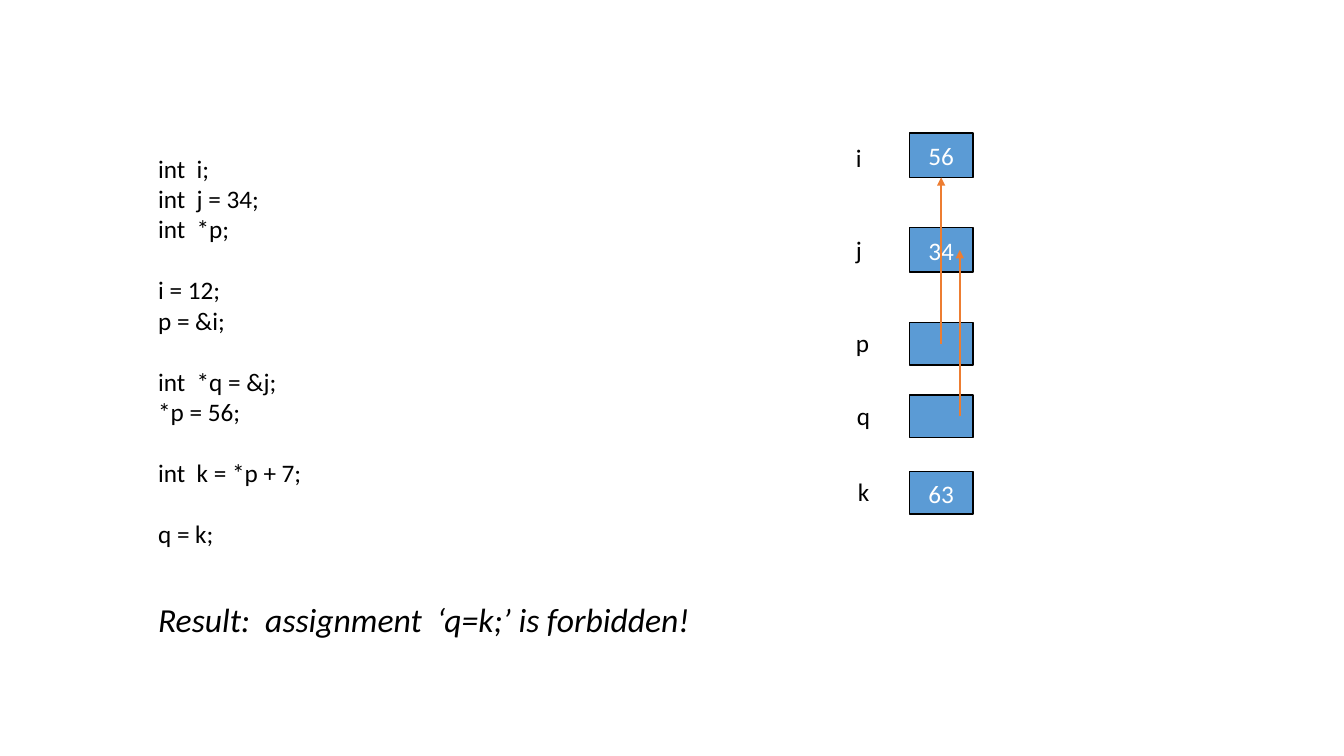
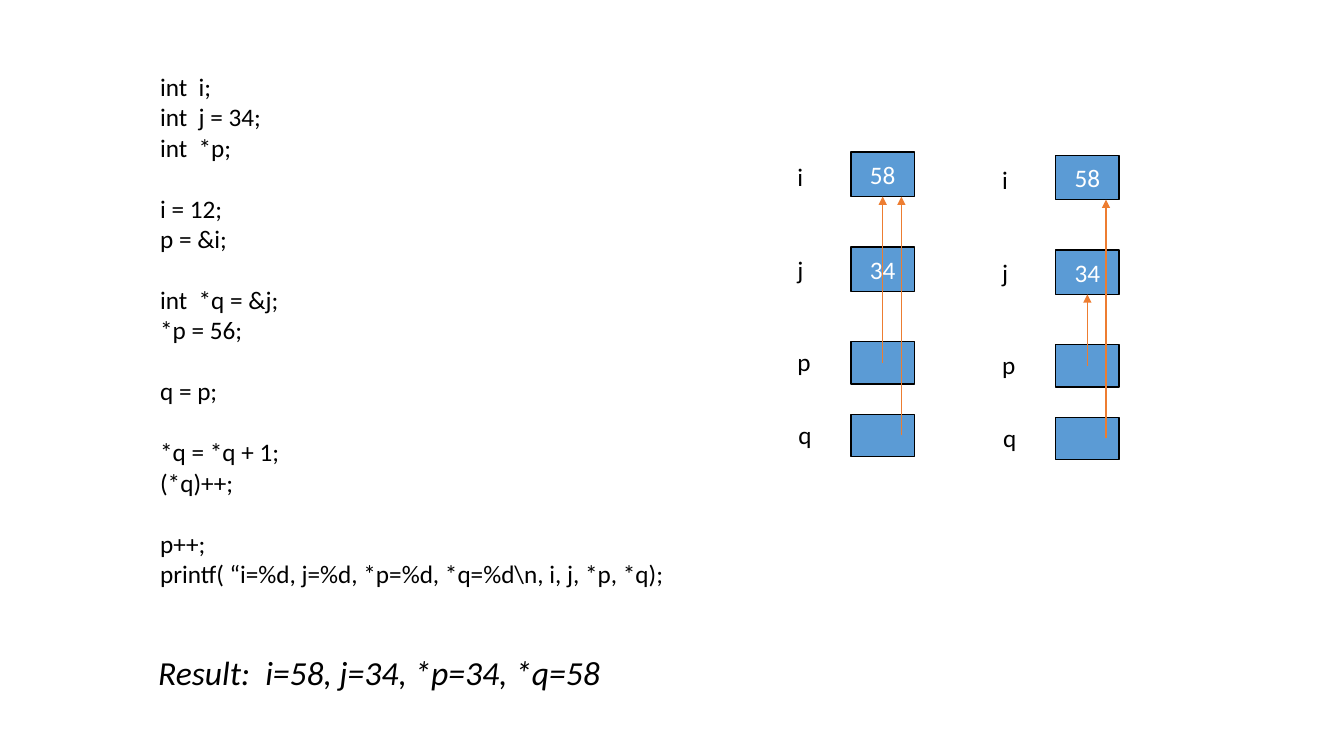
from dataclasses import dataclass

from pptx import Presentation
from pptx.dml.color import RGBColor
from pptx.enum.shapes import MSO_CONNECTOR, MSO_SHAPE
from pptx.enum.text import MSO_ANCHOR, MSO_AUTO_SIZE, PP_ALIGN
from pptx.oxml.ns import qn
from pptx.util import Inches, Pt
from lxml.etree import SubElement


@dataclass(frozen=True)
class Theme:
    ink: RGBColor = RGBColor(0x00, 0x00, 0x00)
    paper: RGBColor = RGBColor(0xFF, 0xFF, 0xFF)
    cell: RGBColor = RGBColor(0x5B, 0x9B, 0xD5)
    arrow: RGBColor = RGBColor(0xED, 0x7D, 0x31)
    font: str = "Calibri"
    body: Pt = Pt(18)
    result: Pt = Pt(24)
    block_gap: Pt = Pt(22)
    line: Pt = Pt(1)


THEME = Theme()

DECLARATIONS = [
    ["int  i;", "int  j = 34;", "int  *p;"],
    ["i = 12;", "p = &i;"],
    ["int  *q = &j;", "*p = 56;"],
]

PAGES = [
    {
        "code": DECLARATIONS + [["int  k = *p + 7;"], ["q = k;"]],
        "code_at": (1.47, 1.47, 5.56, 4.04),
        "result": "Result:  assignment  ‘q=k;’ is forbidden!",
        "result_at": (1.47, 5.89, 5.7, 0.5),
        "memories": [
            {"at": (9.02, 1.32),
             "values": {"i": "56", "j": "34", "p": "", "q": "", "k": "63"},
             "p_target": "i", "q_target": "j", "q_landing": "middle"},
        ],
    },
    {
        "code": DECLARATIONS + [
            ["q = p;"],
            ["*q = *q + 1;", "(*q)++;"],
            ["p++;", "printf( “i=%d, j=%d, *p=%d, *q=%d\\n, i, j, *p, *q);"],
        ],
        "code_at": (1.49, 0.66, 5.56, 5.25),
        "result": "Result:  i=58, j=34, *p=34, *q=58",
        "result_at": (1.47, 6.42, 9.72, 0.5),
        "memories": [
            {"at": (8.44, 1.51),
             "values": {"i": "58", "j": "34", "p": "", "q": ""},
             "p_target": "i", "q_target": "i", "q_landing": "bottom"},
            {"at": (10.47, 1.54),
             "values": {"i": "58", "j": "34", "p": "", "q": ""},
             "p_target": "j", "q_target": "i", "q_landing": "bottom"},
        ],
    },
]

CELL_WIDTH = 0.63
LABEL_SIZE = (0.35, 0.4)
Q_ARROW_OFFSET = 0.5
CELL_ROWS = {
    "i": {"top": 0, "height": 0.44, "label": (-0.63, 0.04)},
    "j": {"top": 0.94, "height": 0.44, "label": (-0.63, 0.02)},
    "p": {"top": 1.88, "height": 0.42, "label": (-0.63, 0)},
    "q": {"top": 2.6, "height": 0.42, "label": (-0.62, 0)},
    "k": {"top": 3.36, "height": 0.42, "label": (-0.61, 0)},
}


def set_all(target, formats):
    for name, value in formats.items():
        setattr(target, name, value)


def write(para, text, color, size=THEME.body, italic=None):
    span = para.add_run()
    span.text = text
    set_all(span.font, {"name": THEME.font, "size": size, "italic": italic})
    span.font.color.rgb = color


def add_text(shapes, at, blocks, **style):
    box = shapes.add_textbox(*map(Inches, at))
    frame = box.text_frame
    set_all(frame, {"word_wrap": True, "auto_size": MSO_AUTO_SIZE.SHAPE_TO_FIT_TEXT})
    para = frame.paragraphs[0]
    for block_index, block in enumerate(blocks):
        for line_index, text in enumerate(block):
            if block_index or line_index:
                para = frame.add_paragraph()
            if block_index and not line_index:
                para.space_before = THEME.block_gap
            write(para, text, THEME.ink, **style)


def add_cell(shapes, at, value):
    box = shapes.add_shape(MSO_SHAPE.RECTANGLE, *map(Inches, at))
    box.shadow.inherit = False
    box.fill.solid()
    box.fill.fore_color.rgb = THEME.cell
    box.line.color.rgb = THEME.ink
    box.line.width = THEME.line
    if value:
        box.text_frame.vertical_anchor = MSO_ANCHOR.MIDDLE
        para = box.text_frame.paragraphs[0]
        para.alignment = PP_ALIGN.CENTER
        write(para, value, THEME.paper)
    return box


def add_arrow(shapes, x, start_y, end_y):
    arrow = shapes.add_connector(MSO_CONNECTOR.STRAIGHT, x, start_y, x, end_y)
    arrow.line.color.rgb = THEME.arrow
    arrow.line.width = THEME.line
    SubElement(arrow.line._get_or_add_ln(), qn("a:tailEnd"), type="triangle")
    SubElement(arrow._element.spPr, qn("a:effectLst"))
    return arrow


def middle(box):
    return box.top + box.height // 2


def bottom(box):
    return box.top + box.height


def add_memory(page, memory):
    shapes = page.shapes.add_group_shape().shapes
    left, top = memory["at"]
    cells = {}
    for name, value in memory["values"].items():
        row = CELL_ROWS[name]
        row_top = top + row["top"]
        label_dx, label_dy = row["label"]
        add_text(shapes, (left + label_dx, row_top + label_dy, *LABEL_SIZE), [[name]])
        cells[name] = add_cell(shapes, (left, row_top, CELL_WIDTH, row["height"]), value)

    source, target = cells["p"], cells[memory["p_target"]]
    center = source.left + source.width // 2
    add_arrow(shapes, center, middle(source), bottom(target)).end_connect(target, 2)

    landing = {"middle": middle, "bottom": bottom}[memory["q_landing"]]
    add_arrow(shapes, Inches(left + Q_ARROW_OFFSET), middle(cells["q"]),
              landing(cells[memory["q_target"]]))


def main():
    deck = Presentation()
    set_all(deck, {"slide_width": Inches(13.33), "slide_height": Inches(7.5)})
    for content in PAGES:
        page = deck.slides.add_slide(deck.slide_layouts[6])
        add_text(page.shapes, content["code_at"], content["code"])
        add_text(page.shapes, content["result_at"], [[content["result"]]],
                 size=THEME.result, italic=True)
        for memory in content["memories"]:
            add_memory(page, memory)
    deck.save("out.pptx")


if __name__ == "__main__":
    main()
